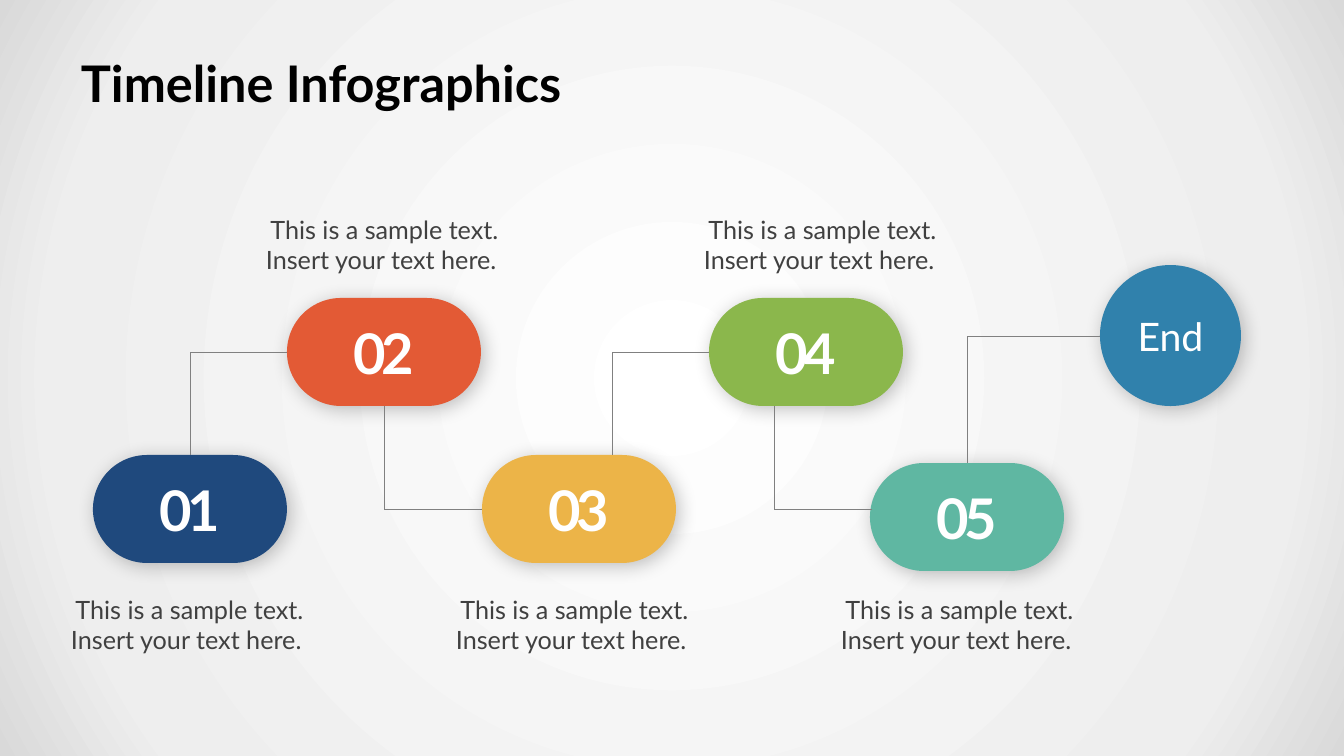
from lxml import etree
from pptx import Presentation
from pptx.dml.color import RGBColor
from pptx.enum.shapes import MSO_CONNECTOR, MSO_SHAPE
from pptx.enum.text import MSO_ANCHOR, MSO_AUTO_SIZE, PP_ALIGN
from pptx.oxml import parse_xml
from pptx.oxml.ns import qn
from pptx.util import Emu, Pt

STRAIGHT = MSO_CONNECTOR.STRAIGHT
PILL, CIRCLE = MSO_SHAPE.ROUNDED_RECTANGLE, MSO_SHAPE.OVAL
MIDDLE = MSO_ANCHOR.MIDDLE
LEFT, CENTER = PP_ALIGN.LEFT, PP_ALIGN.CENTER
GROW = MSO_AUTO_SIZE.SHAPE_TO_FIT_TEXT
TOP_SIDE, LEFT_SIDE, BOTTOM_SIDE = 0, 1, 2

THEME = {
    "font": "Lato",
    "title": "000000", "on_fill": "FFFFFF", "caption": "404040", "link": "808080",
    "steps": ["1F497D", "E35A35", "ECB448", "8BB74C", "5FB7A2"], "end": "3081AC",
    "backdrop": [(0, "FFFFFF"), (81, "EEEEEE"), (100, "D9D9D9")],
    "title_size": 36, "number_size": 40, "end_size": 28, "caption_size": 18,
}
PX = 914400 / 100.8
PILL_W, PILL_H = 194, 108
CAPTION_W, CAPTION_H = 273, 72


def px(*lengths):
    return [Emu(round(length * PX)) for length in lengths]


def style(paragraph, size, color, bold=False, align=CENTER):
    paragraph.alignment = align
    font = paragraph.font
    font.name, font.size, font.bold = THEME["font"], Pt(size), bold
    font.color.rgb = RGBColor.from_string(color)


prs = Presentation()
prs.slide_width, prs.slide_height = px(1344, 756)
slide = prs.slides.add_slide(prs.slide_layouts[5])
shapes = slide.shapes

# Background: radial gradient from the centre
slide.background.fill.solid()
solid = slide.element.xpath(".//p:bgPr/a:solidFill")[0]
stops = "".join(f'<a:gs pos="{pos * 1000}"><a:srgbClr val="{color}"/></a:gs>'
                for pos, color in THEME["backdrop"])
solid.getparent().replace(solid, parse_xml(
    '<a:gradFill xmlns:a="http://schemas.openxmlformats.org/drawingml/2006/main" '
    f'rotWithShape="1"><a:gsLst>{stops}</a:gsLst><a:path path="circle">'
    '<a:fillToRect l="50000" t="50000" r="50000" b="50000"/></a:path></a:gradFill>'))

# Title
title = shapes.title
title.left, title.top, title.width, title.height = px(68, 43, 1210, 79)
heading = title.text_frame
heading.text = "Timeline Infographics"
heading.vertical_anchor = MIDDLE
heading.margin_left, heading.margin_right, heading.margin_top, heading.margin_bottom = px(13, 13, 7, 7)
style(heading.paragraphs[0], THEME["title_size"], THEME["title"], True, LEFT)

# Numbered steps and the end point
step_places = [(93, 455), (287, 298), (482, 455), (709, 298), (870, 463)]
milestones = [(PILL, f"{number:02}", (*place, PILL_W, PILL_H), color, THEME["number_size"])
              for number, (place, color) in enumerate(zip(step_places, THEME["steps"]), 1)]
milestones.append((CIRCLE, "End", (1100, 265, 141, 141), THEME["end"], THEME["end_size"]))
placed = []
for kind, label, box, color, size in milestones:
    milestone = shapes.add_shape(kind, *px(*box))
    milestone.fill.solid()
    milestone.fill.fore_color.rgb = RGBColor.from_string(color)
    milestone.line.fill.background()
    milestone.shadow.inherit = False
    effects = milestone.element.spPr.find(qn("a:effectLst"))
    shadow = etree.SubElement(effects, qn("a:outerShdw"), blurRad=str(Pt(14)), dist=str(Pt(3)),
                              dir="2700000", algn="tl", rotWithShape="0")
    black = etree.SubElement(shadow, qn("a:srgbClr"), val="000000")
    etree.SubElement(black, qn("a:alpha"), val="23000")
    milestone.text_frame.text = label
    milestone.text_frame.vertical_anchor = MIDDLE
    line = milestone.text_frame.paragraphs[0]
    style(line, size, THEME["on_fill"], kind == PILL)
    if kind == PILL:
        milestone.adjustments[0] = 0.5
        line.runs[0].font._element.set("spc", "-300")
    placed.append(milestone)
step1, step2, step3, step4, step5, end = placed

# Links: start, corner, finish, with the side joined at either end
links = [
    ((190, 455), (190, 352), (287, 352), (step1, TOP_SIDE), (step2, LEFT_SIDE)),
    ((384, 406), (384, 509), (482, 509), (step2, BOTTOM_SIDE), (step3, LEFT_SIDE)),
    ((612, 455), (612, 352), (709, 352), None, (step4, LEFT_SIDE)),
    ((774, 406), (774, 509), (872, 509), None, None),
    ((967, 463), (967, 336), (1100, 336), (step5, TOP_SIDE), None),
]
for start, corner, finish, start_joint, finish_joint in links:
    for near, far, joint in ((start, corner, start_joint), (finish, corner, finish_joint)):
        link = shapes.add_connector(STRAIGHT, *px(*near, *far))
        link.line.color.rgb = RGBColor.from_string(THEME["link"])
        link.line.width = Pt(0.5)
        etree.SubElement(link.element.spPr, qn("a:effectLst"))
        if joint:
            link.begin_connect(*joint)

# Captions
for place in [(53, 589), (438, 589), (823, 589), (248, 209), (686, 209)]:
    caption = shapes.add_textbox(*px(*place, CAPTION_W, CAPTION_H)).text_frame
    caption.word_wrap = True
    caption.auto_size = GROW
    caption.text = "This is a sample text.\nInsert your text here. "
    for line in caption.paragraphs:
        style(line, THEME["caption_size"], THEME["caption"])

prs.save("out.pptx")
